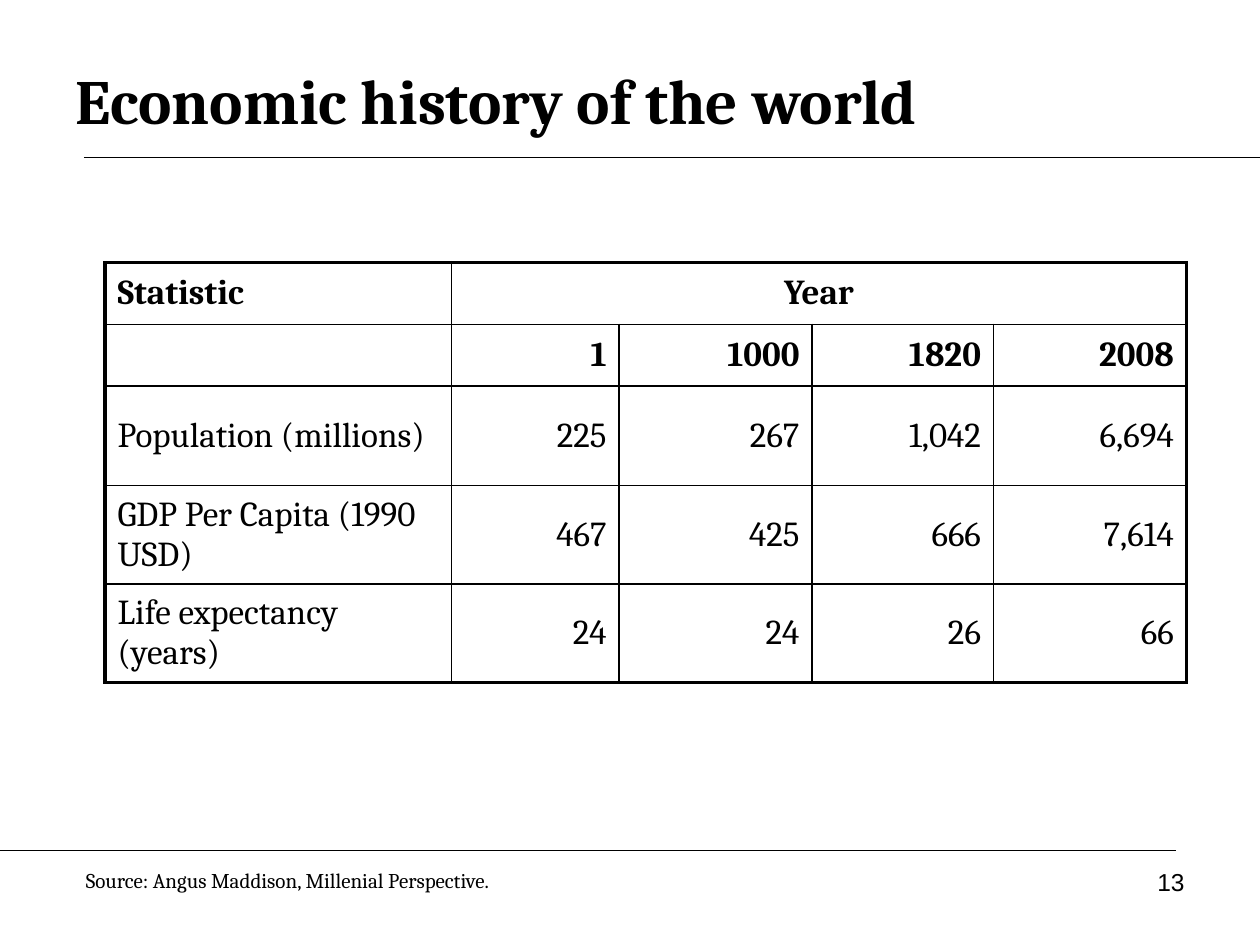
import dataclasses

import lxml.etree
import pptx
import pptx.dml.color
import pptx.enum.shapes
import pptx.enum.text
import pptx.oxml.ns
import pptx.util

ALIGN = pptx.enum.text.PP_ALIGN
ANCHOR = pptx.enum.text.MSO_ANCHOR
WIDTH, HEIGHT = pptx.util.Inches(10), pptx.util.Inches(7.5)
COLUMNS, ROWS = 120, 90  # slide grid: 12 units to the inch


@dataclasses.dataclass(frozen=True)
class Theme:
    ink = pptx.dml.color.RGBColor(0, 0, 0)
    serif = "Cambria"
    sans = "Arial"
    title_size = 36
    table_size = 20
    source_size = 12
    number_size = 14
    rule = 0.75
    inner_border = 1
    outer_border = 2.25


THEME = Theme()

HEADINGS = [["Statistic", "Year", "", "", ""],
            ["", "1", "1000", "1820", "2008"]]
STATISTICS = [["Population (millions)", "225", "267", "1,042", "6,694"],
              ["GDP Per Capita (1990 USD)", "467", "425", "666", "7,614"],
              ["Life expectancy (years)", "24", "24", "26", "66"]]
COLUMN_SHARES = [2.75, 1.33, 1.53, 1.44, 1.53]
ROW_SHARES = [0.49, 0.49, 0.79, 0.78, 0.78]


def across(columns):
    return round(WIDTH * columns / COLUMNS)


def down(rows):
    return round(HEIGHT * rows / ROWS)


def place(box):
    left, top, width, height = box
    return across(left), down(top), across(width), down(height)


def write(frame, text, size, font=THEME.serif, bold=False, align=ALIGN.LEFT):
    frame.word_wrap = True
    paragraph = frame.paragraphs[0]
    paragraph.alignment = align
    run = paragraph.add_run()
    run.text = text
    run.font.size = pptx.util.Pt(size)
    run.font.name = font
    run.font.bold = bold
    run.font.color.rgb = THEME.ink


def add_text(slide, box, text, size, anchor=ANCHOR.TOP, **style):
    frame = slide.shapes.add_textbox(*place(box)).text_frame
    frame.vertical_anchor = anchor
    write(frame, text, size, **style)


def add_rule(slide, start, end, row):
    rule = slide.shapes.add_connector(
        pptx.enum.shapes.MSO_CONNECTOR.STRAIGHT,
        across(start), down(row), across(end), down(row))
    rule.line.color.rgb = THEME.ink
    rule.line.width = pptx.util.Pt(THEME.rule)
    lxml.etree.SubElement(rule._element.spPr, pptx.oxml.ns.qn("a:effectLst"))


def add_borders(cell, outer_sides):
    """Draw all four borders, the heavy ones on the table's outer sides."""
    properties = cell._tc.get_or_add_tcPr()
    for position, side in enumerate("LRTB"):
        weight = THEME.outer_border if side in outer_sides else THEME.inner_border
        border = lxml.etree.Element(pptx.oxml.ns.qn(f"a:ln{side}"),
                                    w=str(pptx.util.Pt(weight)))
        fill = lxml.etree.SubElement(border, pptx.oxml.ns.qn("a:solidFill"))
        lxml.etree.SubElement(fill, pptx.oxml.ns.qn("a:srgbClr"),
                              val=str(THEME.ink))
        properties.insert(position, border)


def add_header(slide, box):
    left, top, width, height = box
    add_text(slide, box, "Economic history of the world", THEME.title_size,
             anchor=ANCHOR.MIDDLE, bold=True)
    add_rule(slide, left + 2, COLUMNS, top + height)


def add_statistics(slide, box):
    rows = HEADINGS + STATISTICS
    left, top, width, height = place(box)
    table = slide.shapes.add_table(len(rows), len(rows[0]),
                                   left, top, width, height).table
    table.first_row = table.horz_banding = False
    for column, share in zip(table.columns, COLUMN_SHARES):
        column.width = round(width * share / sum(COLUMN_SHARES))
    for row, share in zip(table.rows, ROW_SHARES):
        row.height = round(height * share / sum(ROW_SHARES))

    # "Year" spans all the year columns
    last_row, last_column = len(rows) - 1, len(rows[0]) - 1
    year = table.cell(0, 1)
    year.merge(table.cell(0, last_column))

    for r, values in enumerate(rows):
        for c, value in enumerate(values):
            cell = table.cell(r, c)
            cell.fill.background()
            cell.vertical_anchor = ANCHOR.MIDDLE
            outer = {"L": c == 0, "T": r == 0, "B": r == last_row,
                     "R": c == last_column or (r == 0 and c > 0)}
            add_borders(cell, [side for side in outer if outer[side]])
            if value:
                align = (ALIGN.LEFT if c == 0 else
                         ALIGN.CENTER if r == 0 else ALIGN.RIGHT)
                write(cell.text_frame, value, THEME.table_size,
                      bold=r < len(HEADINGS), align=align)


def add_footer(slide, box):
    left, top, width, height = box
    add_rule(slide, left, left + width, top)
    add_text(slide, (left + 7, top + 1, 58, 3.6),
             "Source: Angus Maddison, Millenial Perspective.",
             THEME.source_size)
    add_text(slide, (left + width - 26, top + 1, 28, height - 1), "13",
             THEME.number_size, font=THEME.sans, align=ALIGN.RIGHT)


def main():
    deck = pptx.Presentation()
    deck.slide_width, deck.slide_height = WIDTH, HEIGHT
    slide = deck.slides.add_slide(deck.slide_layouts[6])
    add_header(slide, (6, 4, 108, 11))
    add_statistics(slide, (10, 25, 103, 40))
    add_footer(slide, (0, 81, 112, 7.2))
    deck.save("out.pptx")


if __name__ == "__main__":
    main()
